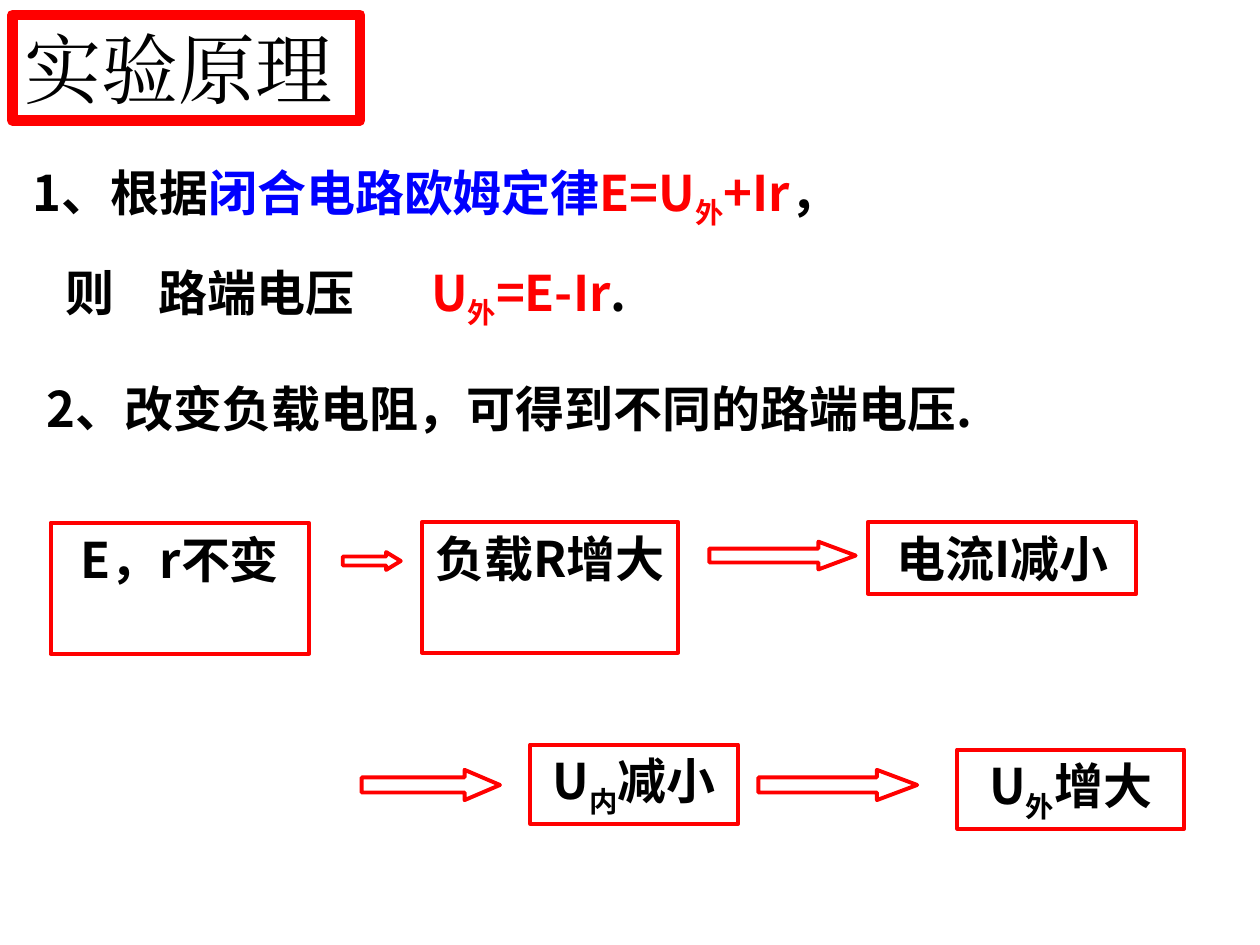
from dataclasses import dataclass

from lxml.etree import SubElement
from pptx import Presentation
from pptx.dml.color import RGBColor
from pptx.enum.shapes import MSO_SHAPE as Preset
from pptx.enum.text import MSO_ANCHOR as Anchor, MSO_AUTO_SIZE as AutoSize, PP_ALIGN as Align
from pptx.oxml.ns import qn
from pptx.util import Cm, Pt

BLACK = RGBColor(0, 0, 0)
WHITE = RGBColor(255, 255, 255)
RED = RGBColor(255, 0, 0)
BLUE = RGBColor(0, 0, 255)
BODY_FONT = "Noto Sans CJK SC"
TITLE_FONT = "Times New Roman"


@dataclass(frozen=True)
class Area:
    left: float
    top: float
    width: float
    height: float

    def lengths(self) -> tuple:
        return Cm(self.left), Cm(self.top), Cm(self.width), Cm(self.height)


@dataclass(frozen=True)
class Piece:
    text: str
    color: RGBColor = BLACK
    subscript: bool = False
    size: float = 28
    font: str = BODY_FONT
    bold: bool = True


@dataclass(frozen=True)
class Box:
    area: Area
    pieces: tuple[Piece, ...]


@dataclass(frozen=True)
class Arrow:
    area: Area
    head: float


TITLE = Box(Area(0.25, 0.3, 7.01, 2.13),
            (Piece("实验原理", size=44, font=TITLE_FONT, bold=False),))

LAW_AREA = Area(0.41, 2.46, 19.1, 4.32)
LAW_TABS = (0.66, 2.54, 8.03)
LAW_LINES = (
    (Piece("1、根据"), Piece("闭合电路欧姆定律", BLUE), Piece("E=U", RED),
     Piece("外", RED, True), Piece("+Ir", RED), Piece("，")),
    (Piece("\t则\t路端电压\t"), Piece("U", RED), Piece("外", RED, True),
     Piece("=E-Ir", RED), Piece(".")),
)

LOAD_AREA = Area(0.69, 7.49, 21.01, 1.45)
LOAD_LINES = ((Piece("2、改变负载电阻，可得到不同的路端电压."),),)

STEPS = (
    Box(Area(1.02, 10.54, 5.21, 2.64), (Piece("E，r不变"),)),
    Box(Area(8.51, 10.52, 5.16, 2.64), (Piece("负载R增大"),)),
    Box(Area(17.5, 10.52, 5.41, 1.45), (Piece("电流I减小"),)),
    Box(Area(10.69, 15.01, 4.19, 1.6),
        (Piece("U"), Piece("内", subscript=True), Piece("减小"))),
    Box(Area(19.3, 15.11, 4.57, 1.6),
        (Piece("U"), Piece("外", subscript=True), Piece("增大"))),
)

ARROWS = (
    Arrow(Area(6.91, 11.13, 1.17, 0.36), 0.82),
    Arrow(Area(14.3, 10.92, 2.95, 0.56), 1.34),
    Arrow(Area(7.29, 15.52, 2.79, 0.61), 1.17),
    Arrow(Area(15.29, 15.52, 3.2, 0.61), 1.33),
)


def add_piece(paragraph, piece: Piece) -> None:
    run = paragraph.add_run()
    run.text = piece.text
    run.font.size = Pt(piece.size)
    run.font.bold = piece.bold
    run.font.color.rgb = piece.color
    run.font.name = piece.font
    properties = run.font._element
    SubElement(properties, qn("a:ea")).set("typeface", piece.font)
    if piece.subscript:
        properties.set("baseline", "-25000")


def write_lines(shape, lines: tuple, align: Align, anchor: Anchor):
    frame = shape.text_frame
    frame.word_wrap = True
    frame.auto_size = AutoSize.SHAPE_TO_FIT_TEXT
    frame.vertical_anchor = anchor
    paragraph = frame.paragraphs[0]
    paragraph.alignment = align
    for index, line in enumerate(lines):
        if index:
            paragraph.add_line_break()
        for piece in line:
            add_piece(paragraph, piece)
    return paragraph


def add_outlined(slide, preset: Preset, area: Area, weight: float):
    shape = slide.shapes.add_shape(preset, *area.lengths())
    shape.shadow.inherit = False
    shape.fill.solid()
    shape.fill.fore_color.rgb = WHITE
    shape.line.color.rgb = RED
    shape.line.width = Pt(weight)
    return shape


def add_box(slide, box: Box, weight: float, align: Align) -> None:
    shape = add_outlined(slide, Preset.RECTANGLE, box.area, weight)
    write_lines(shape, (box.pieces,), align, Anchor.TOP)


def add_arrow(slide, arrow: Arrow) -> None:
    shape = add_outlined(slide, Preset.RIGHT_ARROW, arrow.area, 2.25)
    shape.adjustments[0] = 0.5
    shape.adjustments[1] = arrow.head


def add_statement(slide, area: Area, lines: tuple):
    shape = slide.shapes.add_textbox(*area.lengths())
    return write_lines(shape, lines, Align.LEFT, Anchor.MIDDLE)


def set_tabs(paragraph, positions: tuple[float, ...]) -> None:
    tabs = SubElement(paragraph._p.get_or_add_pPr(), qn("a:tabLst"))
    for position in positions:
        tab = SubElement(tabs, qn("a:tab"))
        tab.set("pos", str(int(Cm(position))))
        tab.set("algn", "l")


def main() -> None:
    presentation = Presentation()
    presentation.slide_width = Cm(25.4)
    presentation.slide_height = Cm(19.05)
    slide = presentation.slides.add_slide(presentation.slide_layouts[6])

    add_box(slide, TITLE, 6, Align.LEFT)
    law = add_statement(slide, LAW_AREA, LAW_LINES)
    law.line_spacing = 1.5
    set_tabs(law, LAW_TABS)
    add_statement(slide, LOAD_AREA, LOAD_LINES)
    for step in STEPS:
        add_box(slide, step, 2.25, Align.CENTER)
    for arrow in ARROWS:
        add_arrow(slide, arrow)

    presentation.save("out.pptx")


if __name__ == "__main__":
    main()
